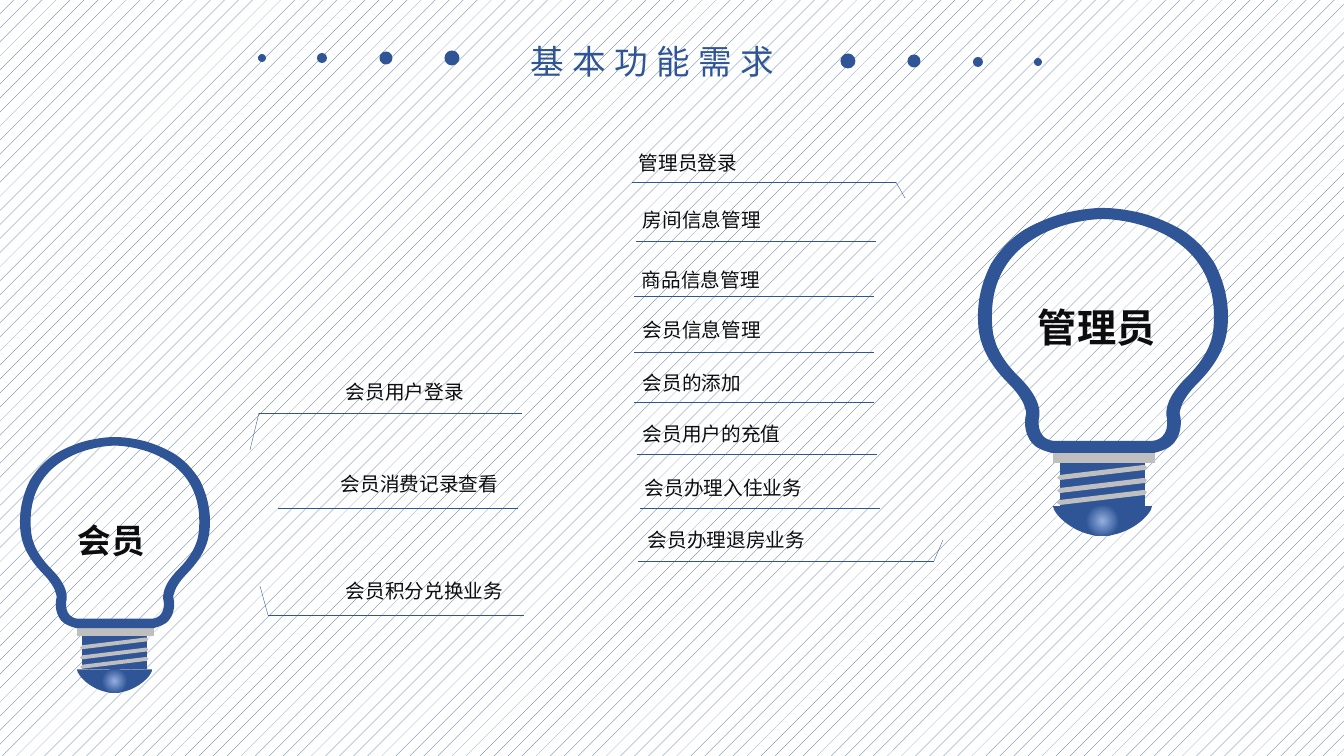
from lxml.etree import SubElement
from pptx import Presentation
from pptx.dml.color import RGBColor
from pptx.enum.dml import MSO_PATTERN
from pptx.enum.lang import MSO_LANGUAGE_ID
from pptx.enum.shapes import MSO_CONNECTOR, MSO_SHAPE
from pptx.enum.text import MSO_AUTO_SIZE
from pptx.oxml import parse_xml
from pptx.oxml.ns import nsdecls, qn
from pptx.util import Emu, Pt

PX = 914400 / 100.8
COLORS = {"blue": "2F5597", "glow": "8FAADC", "grey": "BFBFBF", "ink": "0D0D0D", "white": "FFFFFF"}
LABEL_FONT = "Noto Sans CJK SC"

# Bulb parts in px from the bulb's top left corner.
# Curved parts: a start point, then three points for each cubic curve.
BULB_WIDTH = 250
GLASS_OUTER = [
    (125, 0), (113, 0), (100, 2), (87, 5), (72, 9), (58, 15), (46, 22),
    (32, 31), (21, 43), (13, 56), (5, 72), (0, 89), (0, 108),
    (0, 127), (3, 148), (31, 176), (41, 186), (46, 195), (47, 200),
    (49, 204), (48, 207), (48, 207), (47, 210), (45, 224), (54, 235),
    (58, 240), (66, 243), (74, 245), (91, 245), (108, 245), (125, 245),
]
GLASS_INNER = [
    (125, 11), (86, 12), (14, 32), (14, 108), (14, 125), (15, 143), (41, 169),
    (67, 194), (61, 210), (61, 210), (61, 210), (57, 231), (76, 233),
    (92, 233), (108, 233), (125, 233),
]
CAP = [(75, 298), (75, 306), (97, 328), (124, 328), (152, 328), (174, 306), (174, 298)]
COLLAR = [(75, 240), (177, 240), (177, 255), (75, 255)]
STEM = [(82, 255), (167, 255), (167, 298), (82, 298)]
THREAD = [(82, 272), (79, 270), (82, 267), (166, 257), (169, 259), (167, 262)]

outer, inner = [half + [(BULB_WIDTH - x, y) for x, y in half[-2::-1]]
                for half in (GLASS_OUTER, GLASS_INNER)]
# Contours, colour, curved
bulb_parts = [([COLLAR], "grey", False), ([STEM], "blue", False), ([CAP], "glow", True)]
bulb_parts += [([[(x, y + offset) for x, y in THREAD]], "grey", False) for offset in (0, 13, 25)]
bulb_parts.append(([outer, inner[::-1]], "blue", True))


def rgb(name):
    return RGBColor.from_string(COLORS[name])


def add_text(slide, text, box, size, font_name, color="ink", bold=False, wrap=True):
    textbox = slide.shapes.add_textbox(*[Emu(round(value * PX)) for value in box])
    frame = textbox.text_frame
    frame.word_wrap = wrap
    frame.auto_size = MSO_AUTO_SIZE.SHAPE_TO_FIT_TEXT
    paragraph = frame.paragraphs[0]
    run = paragraph.add_run()
    run.text = text
    run.font.size = Pt(size)
    run.font.bold = bold
    run.font.name = font_name
    run.font.language_id = MSO_LANGUAGE_ID.SIMPLIFIED_CHINESE
    run.font.color.rgb = rgb(color)
    SubElement(run.font._element, qn("a:ea")).set("typeface", font_name)
    return paragraph


presentation = Presentation()
presentation.slide_width = Emu(round(1344 * PX))
presentation.slide_height = Emu(round(756 * PX))
slide = presentation.slides.add_slide(presentation.slide_layouts[6])
background = slide.background.fill
background.patterned()
background.pattern = MSO_PATTERN.PERCENT_5
background.fore_color.rgb = rgb("blue")
background.back_color.rgb = rgb("white")

# Title between two rows of dots: centre x, centre y, diameter
dots = [
    (262, 58, 8), (322, 58, 10), (386, 58, 13), (452, 58, 15),
    (848, 61, 15), (914, 61, 13), (978, 62, 10), (1038, 62, 8),
]
for center_x, center_y, diameter in dots:
    box = (center_x - diameter / 2, center_y - diameter / 2, diameter, diameter)
    dot = slide.shapes.add_shape(MSO_SHAPE.OVAL, *[Emu(round(value * PX)) for value in box])
    dot.shadow.inherit = False
    dot.fill.solid()
    dot.fill.fore_color.rgb = rgb("blue")
    dot.line.fill.background()
title = add_text(slide, "基本功能需求", (521, 36, 275, 50), 24, "Noto Sans CJK JP", "blue", wrap=False)
title.runs[0].font._element.set("spc", "600")

# Bulbs: left, top, horizontal scale, vertical scale
for left, top, scale_x, scale_y in [(978, 208, 1, 1), (20, 437, 0.76, 0.78)]:
    bulb = slide.shapes.add_group_shape()
    for contours, color, curved in bulb_parts:
        placed = [[((left + x * scale_x) * PX, (top + y * scale_y) * PX) for x, y in contour]
                  for contour in contours]
        builder = bulb.shapes.build_freeform(*placed[0][0])
        builder.add_line_segments(placed[0][1:], close=True)
        for contour in placed[1:]:
            builder.move_to(*contour[0])
            builder.add_line_segments(contour[1:], close=True)
        shape = builder.convert_to_shape()
        shape.shadow.inherit = False
        shape.line.fill.background()
        if curved:
            # Merge each three line steps into one cubic curve
            steps = list(shape._element.iter(qn("a:lnTo")))
            for first, second, third in zip(steps[::3], steps[1::3], steps[2::3]):
                first.tag = qn("a:cubicBezTo")
                for step in (second, third):
                    first.append(step[0])
                    step.getparent().remove(step)
        if color == "glow":
            shape._element.spPr.find(qn("a:custGeom")).addnext(parse_xml(
                f'<a:gradFill {nsdecls("a")} rotWithShape="1"><a:gsLst>'
                f'<a:gs pos="2000"><a:srgbClr val="{COLORS["glow"]}"/></a:gs>'
                f'<a:gs pos="33000"><a:srgbClr val="{COLORS["blue"]}"/></a:gs></a:gsLst>'
                '<a:path path="circle"><a:fillToRect l="50000" t="50000" r="50000" b="50000"/>'
                '</a:path></a:gradFill>'))
        else:
            shape.fill.solid()
            shape.fill.fore_color.rgb = rgb(color)

for text, box, size, font_name in [
    ("管理员", (1028, 275, 144, 74), 28, "Calibri"),
    ("会员", (68, 495, 102, 72), 24, "Arial"),
]:
    add_text(slide, text, box, size, font_name, bold=True).line_spacing = 1.5

# Functions: text, text left, top, height, then the underline's start x, end x and y
functions = [
    ("管理员登录", 629, 134, 41, 632, 896, 182),
    ("房间信息管理", 633, 191, 45, 636, 876, 241),
    ("商品信息管理", 632, 251, 41, 634, 874, 296),
    ("会员信息管理", 633, 301, 45, 634, 874, 352),
    ("会员的添加", 633, 354, 45, 634, 874, 402),
    ("会员用户的充值", 633, 405, 45, 637, 877, 454),
    ("会员办理入住业务", 635, 459, 45, 640, 880, 508),
    ("会员办理退房业务", 638, 511, 45, 638, 934, 561),
    ("会员用户登录", 336, 363, 41, 259, 522, 413),
    ("会员消费记录查看", 331, 455, 41, 278, 518, 508),
    ("会员积分兑换业务", 336, 562, 41, 268, 524, 615),
]
lines = [(896, 182, 905, 198), (934, 561, 943, 540), (259, 413, 250, 450), (268, 615, 260, 586)]
for text, left, top, height, start_x, end_x, y in functions:
    add_text(slide, text, (left, top, 188, height), 14, LABEL_FONT).line_spacing = 1.5
    lines.append((start_x, y, end_x, y))
for ends in lines:
    line = slide.shapes.add_connector(MSO_CONNECTOR.STRAIGHT, *[Emu(round(value * PX)) for value in ends])
    line.line.color.rgb = rgb("blue")
    line.line.width = Pt(0.25)
    SubElement(line._element.spPr, qn("a:effectLst"))

presentation.save("out.pptx")
